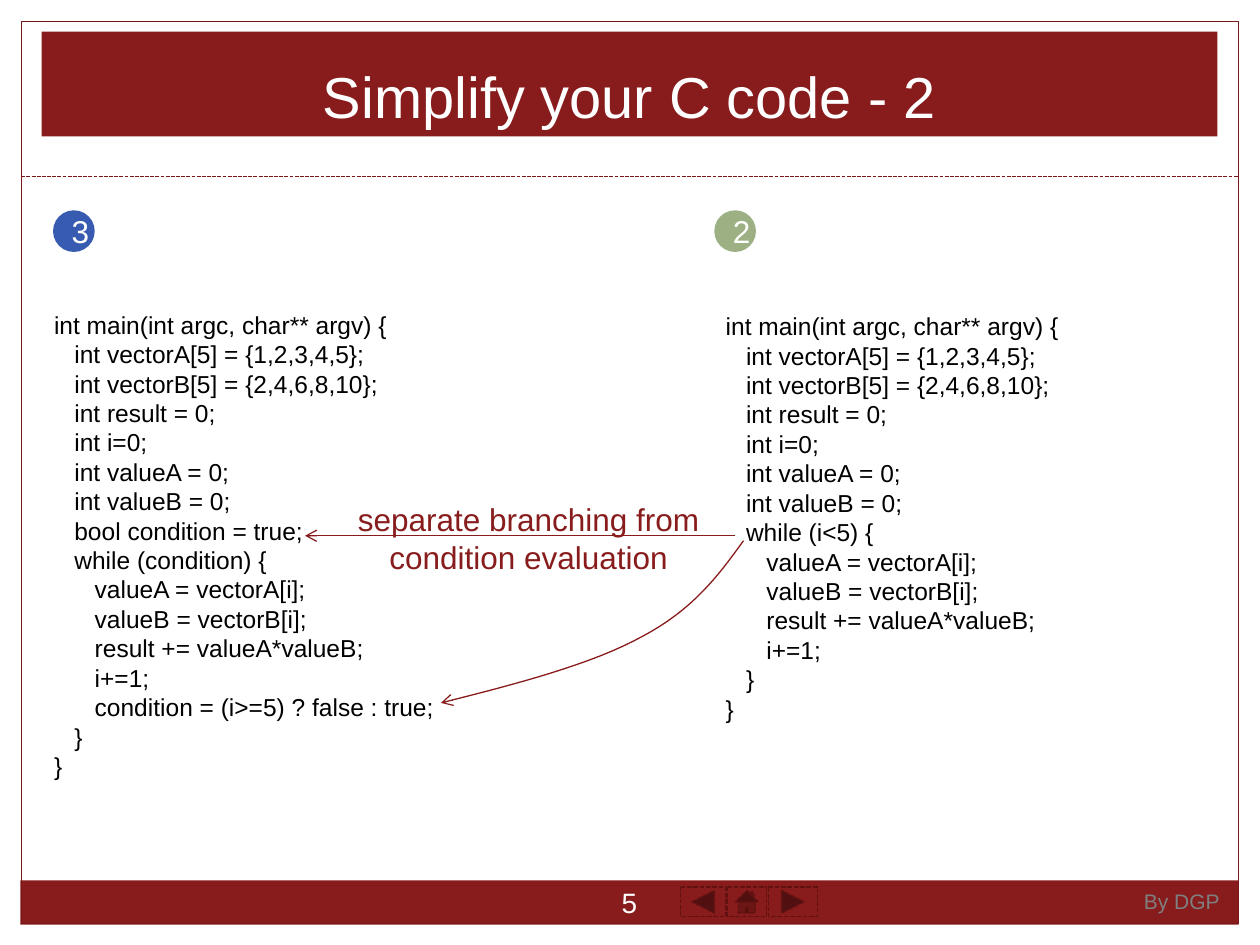
from lxml import etree
from pptx import Presentation
from pptx.dml.color import RGBColor
from pptx.enum import dml, shapes, text
from pptx.oxml.ns import qn
from pptx.util import Cm, Pt

MAROON, DARK, EDGE, WHITE = "881C1C", "771717", "621111", "FFFFFF"
INDENT = 0.41  # one level of code, in cm
BRANCHING = """int main(int argc, char** argv) {
   int vectorA[5] = {1,2,3,4,5};
   int vectorB[5] = {2,4,6,8,10};
   int result = 0;
   int i=0;
   int valueA = 0;
   int valueB = 0;
   while (i<5) {
      valueA = vectorA[i];
      valueB = vectorB[i];
      result += valueA*valueB;
      i+=1;
   }
}"""
SEPARATED = BRANCHING.replace(
    "   while (i<5) {", "   bool condition = true;\n   while (condition) {"
).replace("i+=1;", "i+=1;\n      condition = (i>=5) ? false : true;")


def color(value):
    return RGBColor.from_string(value)


def style_line(shape, value, width=0.75, dashed=False, arrow=False):
    line = shape.line
    line.color.rgb = color(value)
    line.width = Pt(width)
    if dashed:
        line.dash_style = dml.MSO_LINE.SQUARE_DOT
        line._get_or_add_ln().find(qn("a:prstDash")).set("val", "sysDash")
    if arrow:
        etree.SubElement(line._get_or_add_ln(), qn("a:tailEnd"), type="arrow")


def add_shape(page, kind, box, fill=None):
    shape = page.shapes.add_shape(kind, *map(Cm, box))
    shape.shadow.inherit = False
    shape.line.fill.background()
    if fill:
        shape.fill.solid()
        shape.fill.fore_color.rgb = color(fill)
    else:
        shape.fill.background()
    return shape


def add_line(page, start, end, value, **style):
    line = page.shapes.add_connector(
        shapes.MSO_CONNECTOR.STRAIGHT, *map(Cm, (*start, *end)))
    style_line(line, value, **style)
    etree.SubElement(line._element.spPr, qn("a:effectLst"))


def write(shape, words, size, value, align=text.PP_ALIGN.CENTER):
    """Fill a shape with lines; leading spaces become indents."""
    frame = shape.text_frame
    for number, line in enumerate(words.split("\n")):
        para = frame.add_paragraph() if number else frame.paragraphs[0]
        para.text = line.lstrip()
        para.alignment = align
        para.font.size = Pt(size)
        para.font.name = "Arial"
        para.font.color.rgb = color(value)
        level = (len(line) - len(para.text)) // 3
        if level:
            para._p.get_or_add_pPr().set("marL", str(Cm(INDENT * level)))
    return frame


def add_text(page, box, words, size, value, align=text.PP_ALIGN.LEFT):
    frame = write(page.shapes.add_textbox(*map(Cm, box)), words, size, value, align)
    frame.word_wrap = False
    return frame


def bezier(p0, p1, p2, p3, steps=16):
    for step in range(1, steps + 1):
        t = step / steps
        s = 1 - t
        yield tuple(
            Cm(s**3 * a + 3 * s * s * t * b + 3 * s * t * t * c + t**3 * d)
            for a, b, c, d in zip(p0, p1, p2, p3))


def add_frame(page, left, top, width, height):
    border = add_shape(page, shapes.MSO_SHAPE.RECTANGLE, (left, top, width, height))
    style_line(border, DARK)
    rule = top + 3.13
    add_line(page, (left, rule), (left + width, rule), DARK, dashed=True)


def add_footer(page, left, top, width, height):
    add_shape(page, shapes.MSO_SHAPE.RECTANGLE, (left, top, width, height), MAROON)
    # Navigation buttons
    kinds = shapes.MSO_SHAPE
    for kind, offset, wide in (
            (kinds.ACTION_BUTTON_FORWARD_OR_NEXT, 15.08, 0.99),
            (kinds.ACTION_BUTTON_BACK_OR_PREVIOUS, 13.31, 0.91),
            (kinds.ACTION_BUTTON_HOME, 14.25, 0.79)):
        button = add_shape(page, kind, (left + offset, top + 0.13, wide, 0.6), MAROON)
        style_line(button, EDGE, 0.91, dashed=True)
    # Page number and author
    number = add_text(page, (left + 11.43, top, 1.7, 0.86), "5", 16, WHITE,
                      text.PP_ALIGN.CENTER)
    number.word_wrap = True
    number.vertical_anchor = text.MSO_ANCHOR.MIDDLE
    add_text(page, (left + 22.4, top + 0.03, 2.03, 0.76), "By DGP", 12, "7F7F7F")


def add_title(page, left, top, width, height):
    title = page.shapes.title
    title.left, title.top, title.width, title.height = map(Cm, (left, top, width, height))
    title.fill.solid()
    title.fill.fore_color.rgb = color(MAROON)
    frame = write(title, "Simplify your C code - 2", 33, WHITE)
    frame.vertical_anchor = text.MSO_ANCHOR.BOTTOM
    frame.auto_size = text.MSO_AUTO_SIZE.NONE


def add_badge(page, left, top, size, label, fill):
    badge = add_shape(page, shapes.MSO_SHAPE.OVAL, (left, top, size, size), fill)
    frame = write(badge, label, 18, WHITE)
    frame.word_wrap = True
    frame.vertical_anchor = text.MSO_ANCHOR.MIDDLE


def add_links(page, left, top):
    """Arrows from the loop test to the two lines that replace it, with a note."""
    def at(x, y):
        return left + x, top + y

    add_line(page, at(8.66, 0), at(0, 0), MAROON, arrow=True)
    start, bend, end = at(8.84, 0.1), at(6.8, 2.03), at(2.74, 3.37)
    points = [*bezier(start, at(8.33, 0.81), at(7.82, 1.49), bend),
              *bezier(bend, at(5.79, 2.59), at(4.26, 2.99), end)]
    builder = page.shapes.build_freeform(*map(Cm, start))
    builder.add_line_segments(points, close=False)
    curve = builder.convert_to_shape()
    curve.shadow.inherit = False
    curve.fill.background()
    style_line(curve, MAROON, arrow=True)
    add_text(page, (left + 0.81, top - 0.84, 7.39, 1.78),
             "separate branching from\ncondition evaluation", 18, MAROON,
             text.PP_ALIGN.CENTER)


def main():
    deck = Presentation()
    deck.slide_width, deck.slide_height = Cm(25.4), Cm(19.05)
    page = deck.slides.add_slide(deck.slide_layouts.get_by_name("Title Only"))
    add_footer(page, 0.41, 17.75, 24.56, 0.89)
    add_frame(page, 0.43, 0.43, 24.54, 18.19)
    add_title(page, 0.84, 0.64, 23.7, 2.11)
    # Code listings, each a little wider than its longest line
    add_text(page, (14.38, 6.15, 7.4, 8.56), BRANCHING, 14, "000000")
    add_text(page, (0.84, 6.12, 8.3, 10.95), SEPARATED, 14, "000000")
    add_links(page, 6.15, 10.8)
    # Version numbers
    add_badge(page, 14.4, 4.24, 0.84, "2", "9CB084")
    add_badge(page, 1.07, 4.24, 0.84, "3", "375BB0")
    deck.save("out.pptx")


if __name__ == "__main__":
    main()
